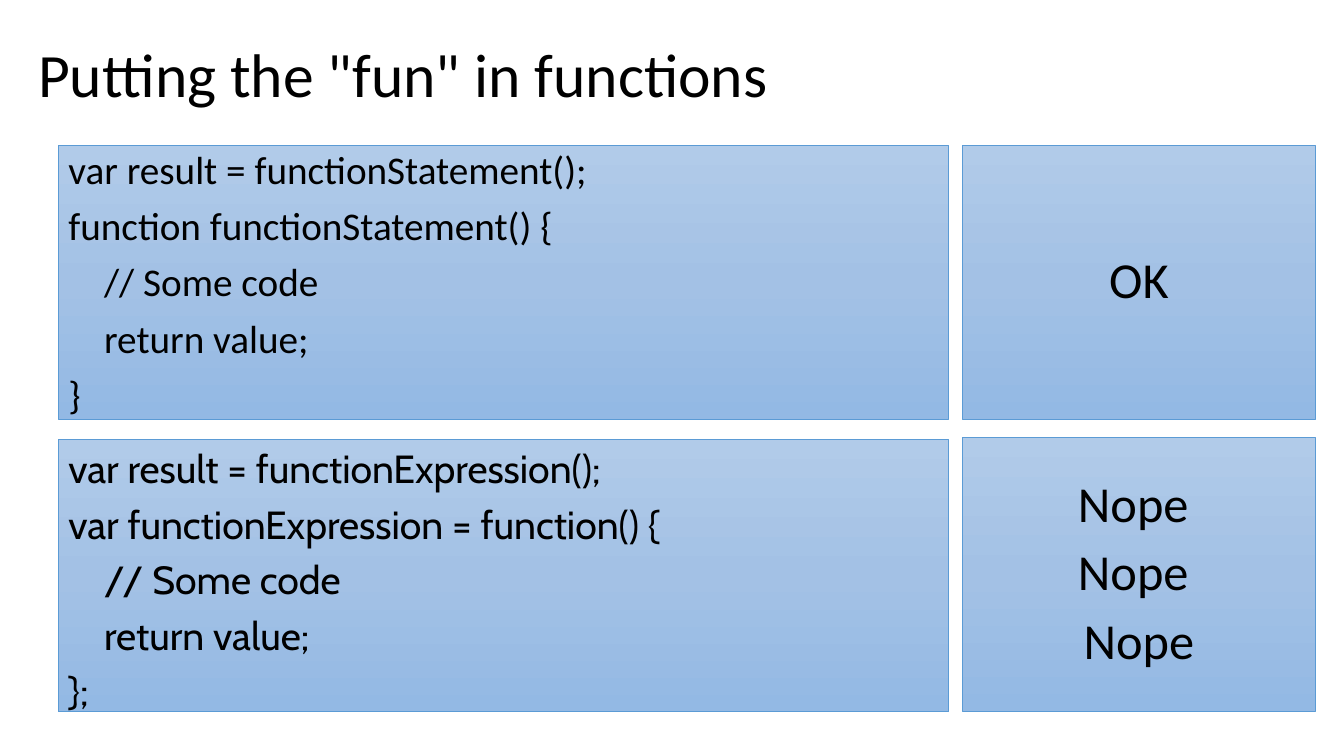
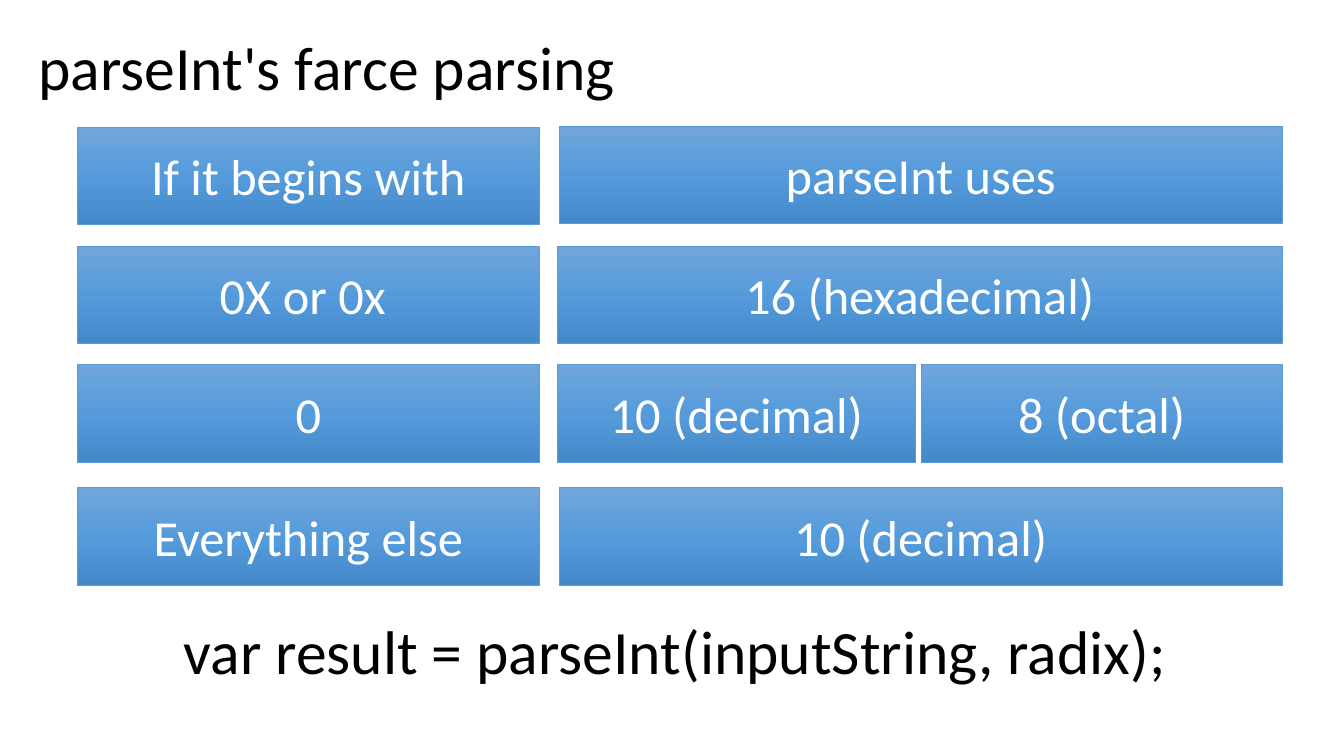
import copy

import pptx
import pptx.dml.color
import pptx.enum.shapes
import pptx.enum.text
import pptx.oxml.ns
import pptx.util

Pt = pptx.util.Pt
ALIGN = pptx.enum.text.PP_ALIGN
ANCHOR = pptx.enum.text.MSO_ANCHOR

# Shared look
FONT = "Calibri"
BLACK, WHITE, BORDER = "000000", "FFFFFF", "5B9BD5"
LIGHT_BLUE = ["B1CBE9", "A3C1E5", "93B9E4"]
STRONG_BLUE = ["71A6DB", "559BDB", "448ACA"]
TITLE_LEFT, TITLE_WIDTH, TITLE_HEIGHT = 20.2, 920, 96.5
CODE_INDENT = 25.5


def rgb(color):
    return pptx.dml.color.RGBColor.from_string(color)


def add_block(slide, box, lines, size, color=BLACK, gradient=None, font=FONT,
              align=ALIGN.CENTER, anchor=ANCHOR.MIDDLE, spacing=0.9, before=10):
    """Add a text block, on a gradient rectangle if a gradient is given."""
    left, top, width, height = [Pt(length) for length in box]
    if gradient:
        shape = slide.shapes.add_shape(
            pptx.enum.shapes.MSO_SHAPE.RECTANGLE, left, top, width, height)
        shape.shadow.inherit = False
        shape.line.color.rgb = rgb(BORDER)
        shape.line.width = Pt(0.5)
        # A new gradient has two stops: add the middle one
        shape.fill.gradient()
        shape.fill.gradient_angle = 270
        stop_list = shape._element.spPr.find(".//" + pptx.oxml.ns.qn("a:gsLst"))
        stop_list.insert(1, copy.deepcopy(stop_list[0]))
        for index, stop in enumerate(shape.fill.gradient_stops):
            stop.color.rgb = rgb(gradient[index])
            stop.position = index / 2
    else:
        shape = slide.shapes.add_textbox(left, top, width, height)

    text_frame = shape.text_frame
    text_frame.word_wrap = True
    text_frame.vertical_anchor = anchor
    text_frame.text = "\n".join(lines)
    for paragraph in text_frame.paragraphs:
        paragraph.alignment = align
        paragraph.line_spacing = spacing
        paragraph.space_before = Pt(before)
        for run in paragraph.runs:
            run.font.name = font
            run.font.size = Pt(size)
            run.font.color.rgb = rgb(color)
    return shape


presentation = pptx.Presentation()
presentation.slide_width = Pt(960)
presentation.slide_height = Pt(540)

# Slides and titles
slides = []
for title, top in [('Putting the "fun" in functions', 7.2),
                   ("parseInt's farce parsing", 2.2)]:
    slide = presentation.slides.add_slide(presentation.slide_layouts[6])
    add_block(slide, (TITLE_LEFT, top, TITLE_WIDTH, TITLE_HEIGHT), [title], 44,
              align=ALIGN.LEFT, before=0)
    slides.append(slide)
functions_slide, parsing_slide = slides

# Slide 1: code panels
code_panels = [
    (103.7, 195.8, FONT, 0.9, 10,
     ["var result = functionStatement();", "function functionStatement() {",
      "// Some code", "return value;", "}"]),
    (313.9, 194.4, "Cabin", 1.0, 6,
     ["var result = functionExpression();",
      "var functionExpression = function() {",
      "// Some code", "return value;", "};"]),
]
for top, height, font, spacing, before, lines in code_panels:
    panel = add_block(functions_slide, (41.8, top, 635.8, height), lines, 28,
                      gradient=LIGHT_BLUE, font=font, align=ALIGN.LEFT,
                      anchor=ANCHOR.TOP, spacing=spacing, before=before)
    # Indent the function body
    for paragraph in panel.text_frame.paragraphs[2:4]:
        paragraph._p.get_or_add_pPr().set("marL", str(Pt(CODE_INDENT)))

# Slide 1: verdicts
for top, lines in [(103.7, ["OK"]), (312.5, ["Nope ", "Nope ", "Nope"])]:
    add_block(functions_slide, (687.6, top, 252, 195.8), lines, 36,
              gradient=LIGHT_BLUE)

# Slide 2: grid of rules, each cell as left, top, width, text
KEY_LEFT, KEY_WIDTH = 55.4, 329.8
VALUE_LEFT, VALUE_RIGHT = 398.2, 915.8
INSET_LEFT, OCTAL_LEFT = 399.6, 658.1
CELL_HEIGHT = 69.8
rule_rows = [
    (90.7, "If it begins with", 90, [(INSET_LEFT, VALUE_RIGHT, "parseInt uses")]),
    (175.7, "0X or 0x ", 175.7, [(VALUE_LEFT, VALUE_RIGHT, "16 (hexadecimal)")]),
    (260.6, "0", 260.6, [(VALUE_LEFT, 653.8, "10 (decimal)"),
                         (OCTAL_LEFT, VALUE_RIGHT, "8 (octal)")]),
    (348.5, "Everything else", 348.5, [(INSET_LEFT, VALUE_RIGHT, "10 (decimal)")]),
]
for key_top, key, value_top, values in rule_rows:
    cells = [(KEY_LEFT, key_top, KEY_WIDTH, key)]
    cells += [(left, value_top, right - left, text) for left, right, text in values]
    for left, top, width, text in cells:
        add_block(parsing_slide, (left, top, width, CELL_HEIGHT), [text], 36,
                  color=WHITE, gradient=STRONG_BLUE, spacing=1.0, before=0)

# Slide 2: call with a radix
add_block(parsing_slide, (68.4, 439.9, 828, 77),
          ["var result = parseInt(inputString, radix);"], 44, anchor=ANCHOR.TOP)

presentation.save("out.pptx")
